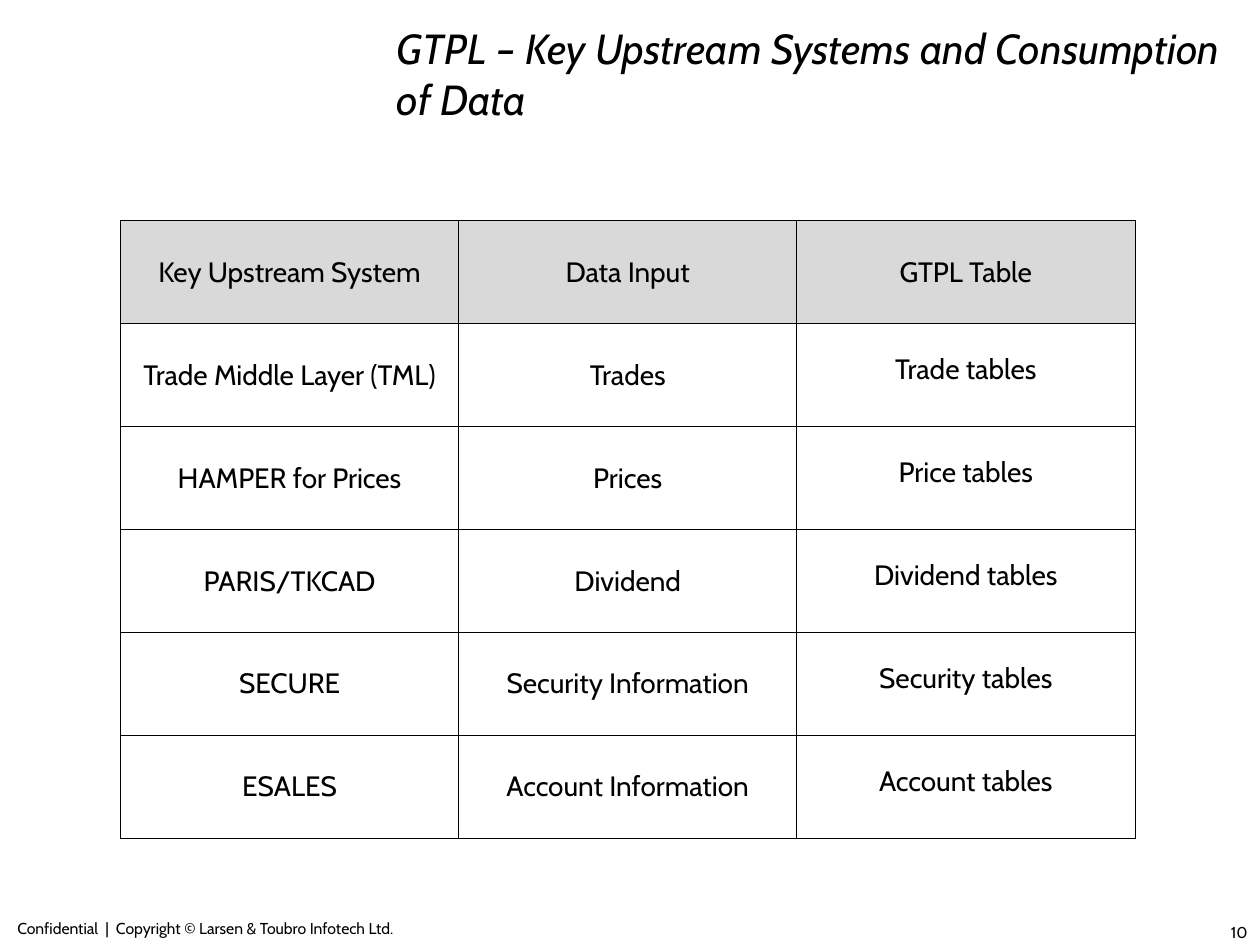
from lxml import etree
from pptx import Presentation
from pptx import util as u
from pptx.dml import color
from pptx.enum import text
from pptx.oxml import ns

ROWS = [
    ("Key Upstream System", "Data Input", "GTPL Table"),
    ("Trade Middle Layer (TML)", "Trades", "Trade tables"),
    ("HAMPER for Prices", "Prices", "Price tables"),
    ("PARIS/TKCAD", "Dividend", "Dividend tables"),
    ("SECURE", "Security Information", "Security tables"),
    ("ESALES", "Account Information", "Account tables"),
]
INK, HEAD, PAPER = "000000", "D9D9D9", "FFFFFF"
THIN, THICK = 0.45, 0.96


def rgb(code):
    return color.RGBColor.from_string(code)


def write(frame, words, size=16, align="LEFT", anchor="TOP", italic=False):
    frame.word_wrap = True
    frame.vertical_anchor = getattr(text.MSO_ANCHOR, anchor)
    para = frame.paragraphs[0]
    para.alignment = getattr(text.PP_ALIGN, align)
    run = para.add_run()
    run.text = words
    font = run.font
    font.name, font.size, font.italic = "Cabin", u.Pt(size), italic
    font.color.rgb = rgb(INK)


def add_text(slide, words, left, top, width, height, **style):
    box = slide.shapes.add_textbox(u.Cm(left), u.Cm(top), u.Cm(width), u.Cm(height))
    write(box.text_frame, words, **style)


def edge(cell, widths):
    """Draw cell borders; widths are points for left, right, top, bottom."""
    props = cell._tc.get_or_add_tcPr()
    for spot, (side, width) in enumerate(zip("LRTB", widths)):
        line = etree.Element(ns.qn(f"a:ln{side}"), w=str(u.Pt(width)))
        fill = etree.SubElement(line, ns.qn("a:solidFill"))
        etree.SubElement(fill, ns.qn("a:srgbClr"), val=INK)
        props.insert(spot, line)


def add_grid(slide, left, top, width, height):
    shape = slide.shapes.add_table(len(ROWS), len(ROWS[0]), u.Cm(left), u.Cm(top),
                                   u.Cm(width), u.Cm(height))
    for r, row in enumerate(ROWS):
        for c, words in enumerate(row):
            cell = shape.table.cell(r, c)
            cell.fill.solid()
            cell.fill.fore_color.rgb = rgb(PAPER if r else HEAD)
            edge(cell, (THIN, THIN, THICK if r == 1 else THIN, THIN if r else THICK))
            low = r > 0 and c == 2
            write(cell.text_frame, words, align="CENTER")
            cell.vertical_anchor = text.MSO_ANCHOR.BOTTOM if low else text.MSO_ANCHOR.MIDDLE
            if low:
                cell.margin_bottom = u.Cm(0.81)


def main():
    deck = Presentation()
    deck.slide_width, deck.slide_height = u.Cm(25.4), u.Cm(19.05)
    slide = deck.slides.add_slide(deck.slide_layouts[6])
    add_text(slide, "Confidential  |  Copyright © Larsen & Toubro Infotech Ltd.",
             0.1, 18.39, 10.97, 0.56, size=9)
    add_text(slide, "10", 19.48, 18.47, 5.92, 1.32, size=9, align="RIGHT")
    add_grid(slide, 2.43, 4.45, 20.45, 12.45)
    add_text(slide, "GTPL – Key Upstream Systems and Consumption of Data",
             7.75, 0.41, 17.65, 2.13, size=24, anchor="MIDDLE", italic=True)
    deck.save("out.pptx")


if __name__ == "__main__":
    main()
